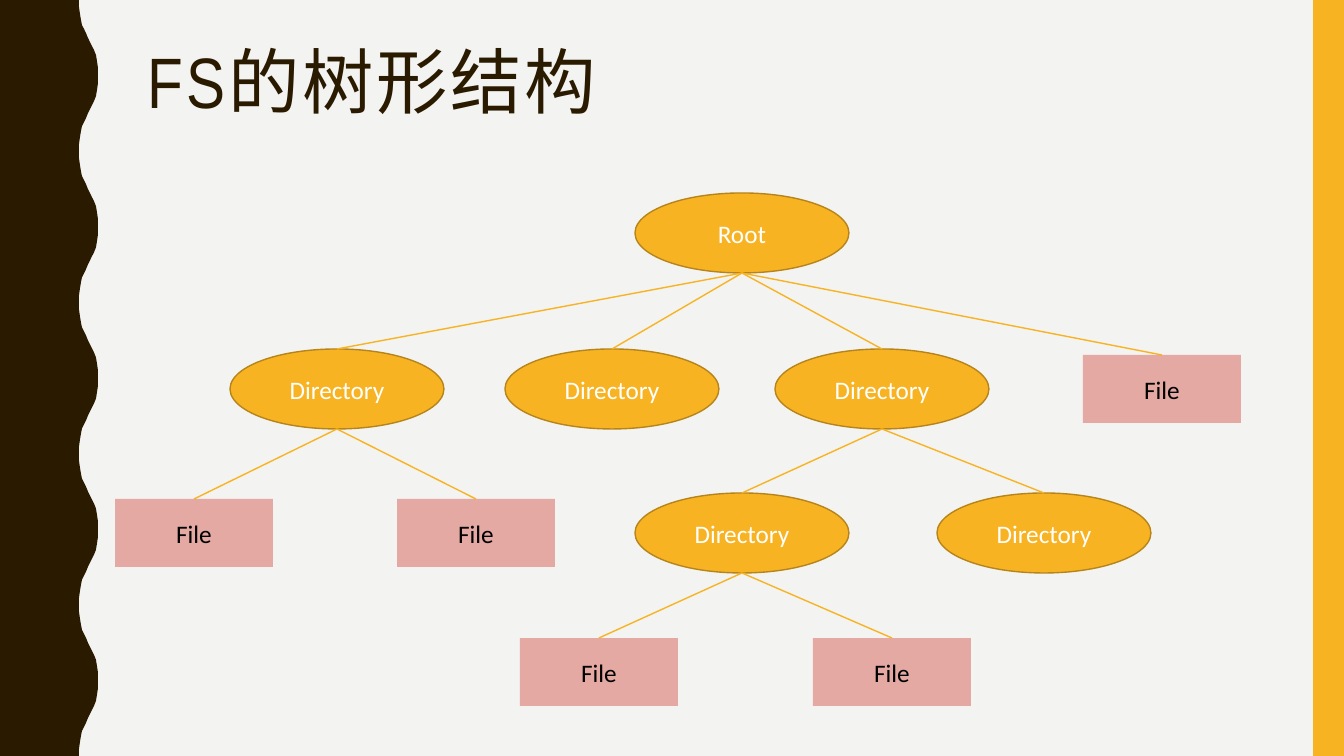
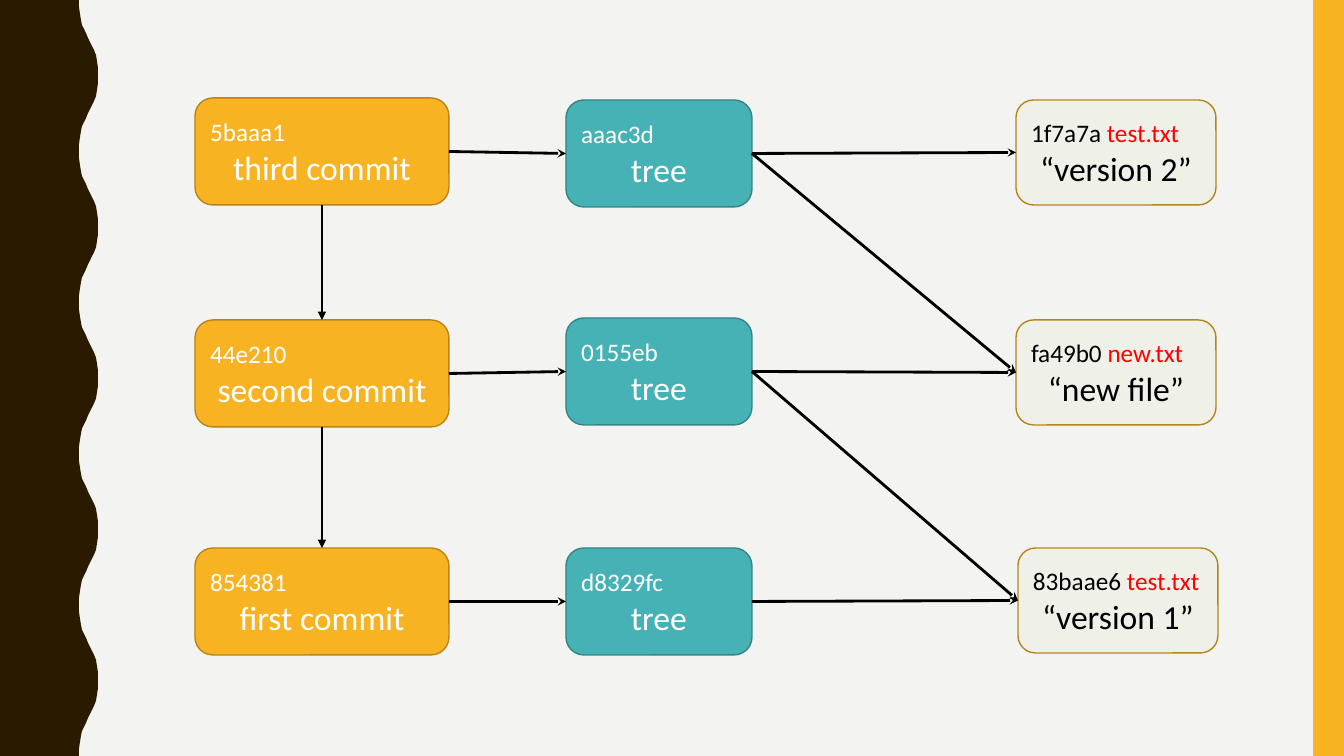
from lxml.etree import SubElement
from pptx import Presentation
from pptx.dml.color import RGBColor
from pptx.enum.shapes import MSO_CONNECTOR, MSO_SHAPE
from pptx.enum.text import MSO_ANCHOR, PP_ALIGN
from pptx.oxml.ns import qn
from pptx.util import Emu, Pt

SCALE = 914400 / 100.8
WIDTH, HEIGHT = 1344, 756
BACKGROUND = RGBColor(0xF3, 0xF3, 0xF2)
BROWN = RGBColor(0x2A, 0x1A, 0x00)
GOLD = RGBColor(0xF8, 0xB3, 0x23)
DARK_GOLD = RGBColor(0xB7, 0x84, 0x1A)
PINK = RGBColor(0xE5, 0xA9, 0xA4)
TEAL = RGBColor(0x46, 0xB2, 0xB5)
DARK_TEAL = RGBColor(0x34, 0x84, 0x86)
IVORY = RGBColor(0xEF, 0xF0, 0xE7)
WHITE = RGBColor(0xFF, 0xFF, 0xFF)
BLACK = RGBColor(0x00, 0x00, 0x00)
RED = RGBColor(0xFF, 0x00, 0x00)
TOP, LEFT, BOTTOM, RIGHT = range(4)
OVAL_BOTTOM = 4


def add_box(slide, geometry, box, fill, outline=None, paragraphs=()):
    shape = slide.shapes.add_shape(geometry, *[Emu(round(value * SCALE)) for value in box])
    shape.shadow.inherit = False
    shape.fill.solid()
    shape.fill.fore_color.rgb = fill
    if outline is None:
        shape.line.fill.background()
    else:
        shape.line.color.rgb = outline
        shape.line.width = Pt(1)
    text_frame = shape.text_frame
    text_frame.vertical_anchor = MSO_ANCHOR.MIDDLE
    for index, (alignment, size, pieces) in enumerate(paragraphs):
        paragraph = text_frame.add_paragraph() if index else text_frame.paragraphs[0]
        paragraph.alignment = alignment
        for text, color in pieces:
            run = paragraph.add_run()
            run.text = text
            run.font.name = "Calibri"
            run.font.size = Pt(size)
            run.font.color.rgb = color
    return shape


def connect(slide, source, source_site, target, target_site, color, width, head=None):
    connector = slide.shapes.add_connector(MSO_CONNECTOR.STRAIGHT, 0, 0, 0, 0)
    connector.begin_connect(source, source_site)
    connector.end_connect(target, target_site)
    if source.auto_shape_type == MSO_SHAPE.OVAL:
        start = next(connector._element.iter(qn("a:stCxn")))
        start.set("idx", str(OVAL_BOTTOM))
    connector.line.color.rgb = color
    connector.line.width = Pt(width)
    properties = connector._element.spPr
    if head:
        SubElement(properties.find(qn("a:ln")), qn("a:tailEnd"), type=head)
    SubElement(properties, qn("a:effectLst"))


presentation = Presentation()
presentation.slide_width = Emu(round(WIDTH * SCALE))
presentation.slide_height = Emu(round(HEIGHT * SCALE))
master_fill = presentation.slide_master.background.fill
master_fill.solid()
master_fill.fore_color.rgb = BACKGROUND
blank_layout = presentation.slide_layouts[6]
tree_slide = presentation.slides.add_slide(blank_layout)
commit_slide = presentation.slides.add_slide(blank_layout)

WAVE_COUNT = 5
wave_height = HEIGHT / WAVE_COUNT
half_wave = [(79, 0), (79, 7), (80, 14), (81, 20), (82, 25), (84, 29), (86, 33), (88, 38),
             (90, 42), (92, 46), (94, 50), (96, 55), (97, 61), (98, 68), (98, 76)]
full_wave = half_wave + [(x, wave_height - y) for x, y in reversed(half_wave[:-1])]
edge = [(x, y + wave * wave_height) for wave in range(WAVE_COUNT) for x, y in full_wave]
outline_points = [(round(x * SCALE), round(y * SCALE)) for x, y in edge + [(0, HEIGHT)]]

for slide in (tree_slide, commit_slide):
    builder = slide.shapes.build_freeform(0, 0)
    builder.add_line_segments(outline_points, close=True)
    wavy_band = builder.convert_to_shape()
    wavy_band.shadow.inherit = False
    wavy_band.fill.solid()
    wavy_band.fill.fore_color.rgb = BROWN
    wavy_band.line.fill.background()
    add_box(slide, MSO_SHAPE.RECTANGLE, (1313, 0, 31, HEIGHT), GOLD)

title_box = [Emu(round(value * SCALE)) for value in (138, 42, 1122, 164)]
title = tree_slide.shapes.add_textbox(*title_box)
title.text_frame.word_wrap = True
title.text_frame.text = "FS的树形结构"
title_paragraph = title.text_frame.paragraphs[0]
title_paragraph.line_spacing = 0.9
title_run = title_paragraph.runs[0]
title_run.font.name = "Arial Narrow"
title_run.font.size = Pt(51)
title_run.font.color.rgb = BROWN
title_run.font._element.set("spc", "200")

FOLDER_STYLE = (MSO_SHAPE.OVAL, 214, 80, GOLD, DARK_GOLD, WHITE)
FILE_STYLE = (MSO_SHAPE.RECTANGLE, 158, 68, PINK, None, BLACK)
LEVELS = [233, 389, 533, 672]
tree_nodes = [
    ("root", None, "Root", 742, 0),
    ("left", "root", "Directory", 337, 1),
    ("middle", "root", "Directory", 612, 1),
    ("right", "root", "Directory", 882, 1),
    ("root file", "root", "File", 1162, 1),
    ("left file 1", "left", "File", 194, 2),
    ("left file 2", "left", "File", 476, 2),
    ("inner", "right", "Directory", 742, 2),
    ("empty", "right", "Directory", 1044, 2),
    ("inner file 1", "inner", "File", 599, 3),
    ("inner file 2", "inner", "File", 892, 3),
]
node_shapes = {}
for name, parent, label, center, level in tree_nodes:
    style = FILE_STYLE if label == "File" else FOLDER_STYLE
    geometry, width, height, fill, outline, color = style
    box = (center - width / 2, LEVELS[level] - height / 2, width, height)
    text = [(PP_ALIGN.CENTER, 18, [(label, color)])]
    node_shapes[name] = add_box(tree_slide, geometry, box, fill, outline, text)
for name, parent, label, center, level in tree_nodes:
    if parent:
        connect(tree_slide, node_shapes[parent], BOTTOM, node_shapes[name], TOP, GOLD, 1)

columns = [
    (254, 107, GOLD, DARK_GOLD, WHITE, [
        (195, 98, "5baaa1", "", "third commit"),
        (195, 320, "44e210", "", "second commit"),
        (195, 548, "854381", "", "first commit")]),
    (186, 107, TEAL, DARK_TEAL, WHITE, [
        (566, 100, "aaac3d", "", "tree"),
        (566, 318, "0155eb", "", "tree"),
        (566, 548, "d8329fc", "", "tree")]),
    (200, 105, IVORY, DARK_GOLD, BLACK, [
        (1016, 100, "1f7a7a ", "test.txt", "“version 2”"),
        (1016, 320, "fa49b0 ", "new.txt", "“new file”"),
        (1018, 548, "83baae6 ", "test.txt", "“version 1”")]),
]
object_columns = []
for width, height, fill, outline, color, entries in columns:
    column_shapes = []
    for left, top, digest, file_name, label in entries:
        heading = [(digest, color)]
        if file_name:
            heading.append((file_name, RED))
        text = [(PP_ALIGN.LEFT, 18, heading), (PP_ALIGN.CENTER, 24, [(label, color)])]
        box = (left, top, width, height)
        column_shapes.append(
            add_box(commit_slide, MSO_SHAPE.ROUNDED_RECTANGLE, box, fill, outline, text))
    object_columns.append(column_shapes)

commits, trees, blobs = object_columns
for commit, tree, blob in zip(commits, trees, blobs):
    connect(commit_slide, commit, RIGHT, tree, LEFT, BLACK, 2, "stealth")
    connect(commit_slide, tree, RIGHT, blob, LEFT, BLACK, 2, "stealth")
for tree, older_blob in zip(trees, blobs[1:]):
    connect(commit_slide, tree, RIGHT, older_blob, LEFT, BLACK, 2, "stealth")
for commit, parent_commit in zip(commits, commits[1:]):
    connect(commit_slide, commit, BOTTOM, parent_commit, TOP, BLACK, 2, "triangle")

presentation.save("out.pptx")
